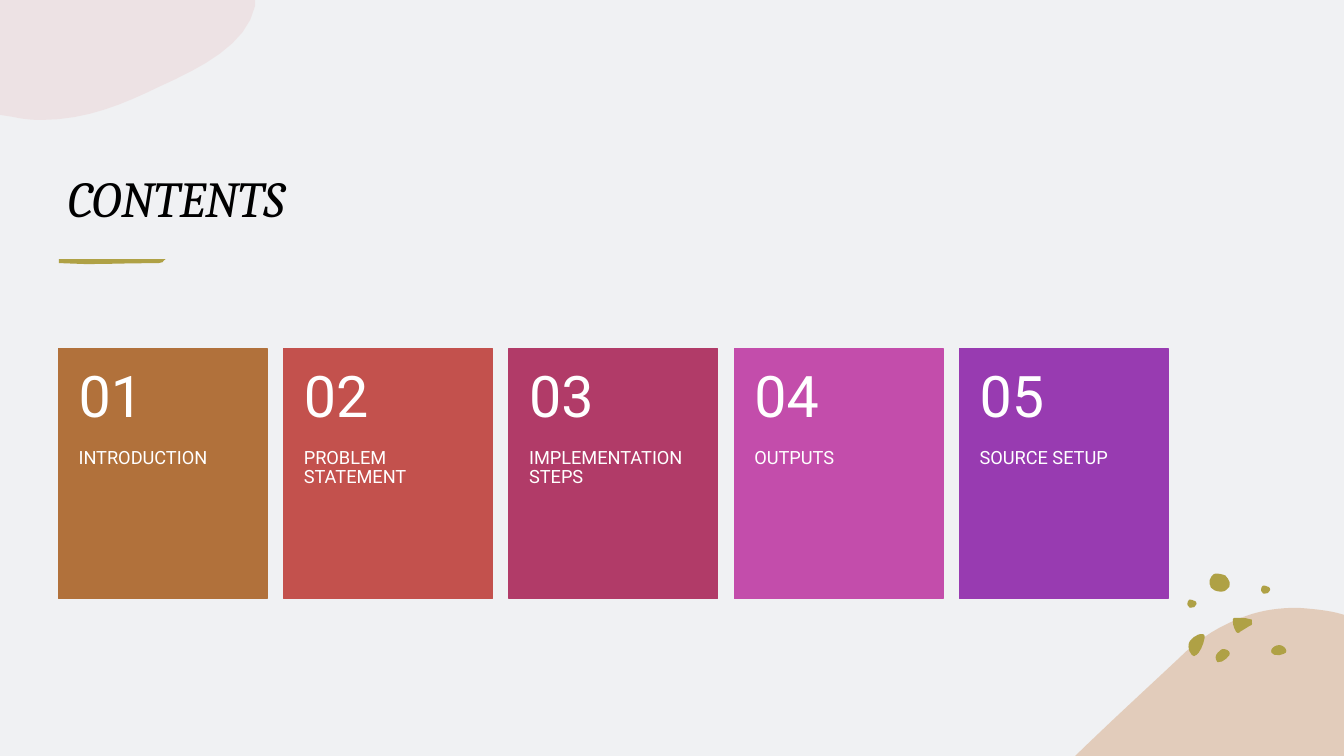
from math import comb

from lxml.etree import SubElement
from pptx import Presentation
from pptx.dml.color import RGBColor
from pptx.enum.shapes import MSO_SHAPE
from pptx.enum.text import MSO_ANCHOR, MSO_AUTO_SIZE
from pptx.oxml.ns import qn
from pptx.util import Inches, Pt

PAPER, INK, WHITE, OLIVE = "F0F1F3", "000000", "FFFFFF", "AFA145"
ROSE, SAND = "E7B9B8", "D6A984"

CARDS = [
    ("INTRODUCTION", "B1713B"),
    ("PROBLEM STATEMENT", "C3514D"),
    ("IMPLEMENTATION STEPS", "B13B68"),
    ("OUTPUTS", "C34DAB"),
    ("SOURCE SETUP", "983BB1"),
]
CARD_LEFT, CARD_TOP, CARD_WIDTH, CARD_PITCH = 4.35, 46.13, 15.53, 16.76
NUMBER_HEIGHT, LABEL_HEIGHT = 13.2, 19.87

ROSE_BLOB = [(0, 0), (253, 0), (253, 6), (245, 44, 200, 67, 158, 86),
             (123, 103, 86, 119, 41, 119), (31, 119, 22, 118, 13, 116), (0, 114)]
SAND_BLOB = [(221, 0), (234, 1, 247, 2, 260, 5), (267, 7), (267, 147), (0, 147), (1, 146),
             (35, 113, 70, 81, 102, 51), (124, 29, 147, 16, 170, 8), (187, 2, 204, 0, 221, 0)]
BRUSH = [(1, 0), (106, 0), (103, 1, 105, 4, 99, 4), (70, 4, 50, 5, 28, 5), (1, 4)]
DOT = [(0, 5), (0, 5, 0, 1, 2, 0), (4, 0, 5, 0, 7, 1), (8, 1, 10, 2, 10, 4),
       (10, 5, 9, 6, 8, 7), (8, 7, 8, 8, 6, 8), (5, 8, 3, 9, 2, 8), (1, 6, 0, 6, 0, 5)]
BEAN = [(7, 0), (9, 0, 10, 0, 12, 1), (14, 2, 15, 4, 14, 6), (12, 9, 6, 14, 2, 13),
        (1, 12, 0, 10, 0, 8), (0, 6, 2, 3, 4, 2), (5, 1, 6, 0, 7, 0)]
LEAF = [(12, 0), (14, 0, 16, 0, 16, 2), (16, 4), (15, 9, 13, 14, 10, 18),
        (8, 20, 5, 23, 3, 20), (0, 17, -1, 12, 0, 9), (1, 6, 3, 5, 5, 3), (6, 3, 9, 0, 12, 0)]
OVAL = [(8, 0), (10, 0, 13, 2, 14, 4), (15, 6, 15, 8, 12, 9), (9, 11, 1, 11, 0, 8),
        (-1, 6, 0, 4, 1, 3), (3, 1, 5, 0, 8, 0)]
STONE = [(1, 12), (0, 12, -1, 6, 2, 3), (4, 1, 4, 0, 7, 0), (10, 0, 14, 1, 16, 2),
         (18, 4, 22, 9, 20, 13), (17, 16, 16, 18, 12, 18), (9, 18, 4, 17, 3, 15),
         (1, 14, 1, 13, 1, 12)]
WEDGE = [(5, 0), (11, 0, 22, 0, 18, 6), (18, 7, 17, 8, 16, 8), (7, 14),
         (6, 15, 5, 16, 4, 15), (3, 14), (1, 10, 0, 7, 0, 3), (0, 2, 0, 1, 1, 0)]
PEBBLES = [
    (BEAN, 90.45, 85.87, 1.05, 1.73),
    (LEAF, 88.43, 83.87, 1.2, 2.93),
    (OVAL, 94.58, 85.33, 1.13, 1.33),
    (STONE, 90, 75.87, 1.5, 2.4),
    (DOT, 93.83, 77.47, 0.68, 1.07),
    (DOT, 88.35, 79.33, 0.68, 1.07),
    (WEDGE, 91.73, 81.73, 1.43, 2),
]


def color(code):
    """Turn a hex string into a colour."""
    return RGBColor.from_string(code)


def trace(segments, steps):
    """Return the points along joined lines and Bezier curves."""
    points = [segments[0]]
    for segment in segments[1:]:
        controls = [points[-1], *zip(segment[::2], segment[1::2])]
        degree = len(controls) - 1
        count = steps if degree > 1 else 1
        for step in range(1, count + 1):
            share = step / count
            weights = [comb(degree, order) * share**order * (1 - share)**(degree - order)
                       for order in range(degree + 1)]
            points.append(tuple(sum(weight * control[axis]
                                    for weight, control in zip(weights, controls))
                                for axis in (0, 1)))
    return points


class Page:
    """Draw styled elements on a slide divided into 100 columns and 100 rows."""

    def __init__(self, deck):
        """Add a blank slide with the plain background."""
        self.column = deck.slide_width / 100
        self.row = deck.slide_height / 100
        self.slide = deck.slides.add_slide(deck.slide_layouts[6])
        self.slide.background.fill.solid()
        self.slide.background.fill.fore_color.rgb = color(PAPER)

    def place(self, left, top, width, height):
        """Turn columns and rows into slide lengths."""
        return (round(left * self.column), round(top * self.row),
                round(width * self.column), round(height * self.row))

    def paint(self, shape, fill, opacity=100):
        """Give a shape a flat fill without line or shadow."""
        shape.shadow.inherit = False
        shape.fill.solid()
        shape.fill.fore_color.rgb = color(fill)
        shape.line.fill.background()
        if opacity < 100:
            tint = shape.element.spPr.find(".//" + qn("a:srgbClr"))
            SubElement(tint, qn("a:alpha"), val=str(opacity * 1000))

    def block(self, left, top, width, height, fill):
        """Draw a rectangle with an edge of its own colour."""
        shape = self.slide.shapes.add_shape(
            MSO_SHAPE.RECTANGLE, *self.place(left, top, width, height))
        self.paint(shape, fill)
        shape.line.color.rgb = color(fill)
        shape.line.width = Pt(1)

    def outline(self, segments, left, top, width, height, fill, opacity=100, steps=3):
        """Fit a curved outline into a box and fill it."""
        x, y, wide, high = self.place(left, top, width, height)
        points = trace(segments, steps)
        across, down = zip(*points)
        x_scale = wide / (max(across) - min(across))
        y_scale = high / (max(down) - min(down))
        fitted = [(round(x + (a - min(across)) * x_scale), round(y + (d - min(down)) * y_scale))
                  for a, d in points]
        builder = self.slide.shapes.build_freeform(*fitted[0])
        builder.add_line_segments(fitted[1:], close=True)
        self.paint(builder.convert_to_shape(), fill, opacity)

    def text(self, words, left, top, width, height, size, font, ink=WHITE, italic=False,
             anchor=MSO_ANCHOR.TOP, insets=(0.75, 0.67, 0.67), spacing=0.9, after=0.35):
        """Write one paragraph in a wrapped text box of fixed size."""
        box = self.slide.shapes.add_textbox(*self.place(left, top, width, height))
        frame = box.text_frame
        frame.word_wrap = True
        frame.auto_size = MSO_AUTO_SIZE.NONE
        frame.vertical_anchor = anchor
        side, above, below = insets
        frame.margin_left = frame.margin_right = round(side * self.column)
        frame.margin_top, frame.margin_bottom = round(above * self.row), round(below * self.row)
        para = frame.paragraphs[0]
        para.line_spacing = spacing
        para.space_after = Pt(size * after)
        span = para.add_run()
        span.text = words
        span.font.size = Pt(size)
        span.font.name = font
        span.font.italic = italic
        span.font.color.rgb = color(ink)

    def card(self, index, label, fill):
        """Draw a numbered contents card."""
        left = CARD_LEFT + index * CARD_PITCH
        self.block(left, CARD_TOP, CARD_WIDTH, NUMBER_HEIGHT + LABEL_HEIGHT, fill)
        self.text(label, left, CARD_TOP + NUMBER_HEIGHT, CARD_WIDTH, LABEL_HEIGHT,
                  13, "Roboto", insets=(1.5, 0, 4.8))
        self.text(f"{index + 1:02}", left, CARD_TOP, CARD_WIDTH, NUMBER_HEIGHT,
                  41, "Roboto", anchor=MSO_ANCHOR.MIDDLE, insets=(1.5, 2.4, 2.4))


def main():
    """Build and save the contents slide."""
    deck = Presentation()
    deck.slide_width, deck.slide_height = Inches(13.33), Inches(7.5)
    page = Page(deck)
    page.outline(ROSE_BLOB, 0, 0, 18.98, 15.87, ROSE, 25, steps=8)
    page.text("CONTENTS", 4.28, 11.47, 82.65, 19.33, 36, "Cambria", INK, italic=True,
              anchor=MSO_ANCHOR.BOTTOM, spacing=1, after=0)
    page.outline(BRUSH, 4.38, 34.27, 7.95, 0.67, OLIVE)
    page.outline(SAND_BLOB, 80, 80.4, 20, 19.6, SAND, 50, steps=8)
    for segments, *spot in PEBBLES:
        page.outline(segments, *spot, OLIVE)
    for index, (label, fill) in enumerate(CARDS):
        page.card(index, label, fill)
    deck.save("out.pptx")


if __name__ == "__main__":
    main()
